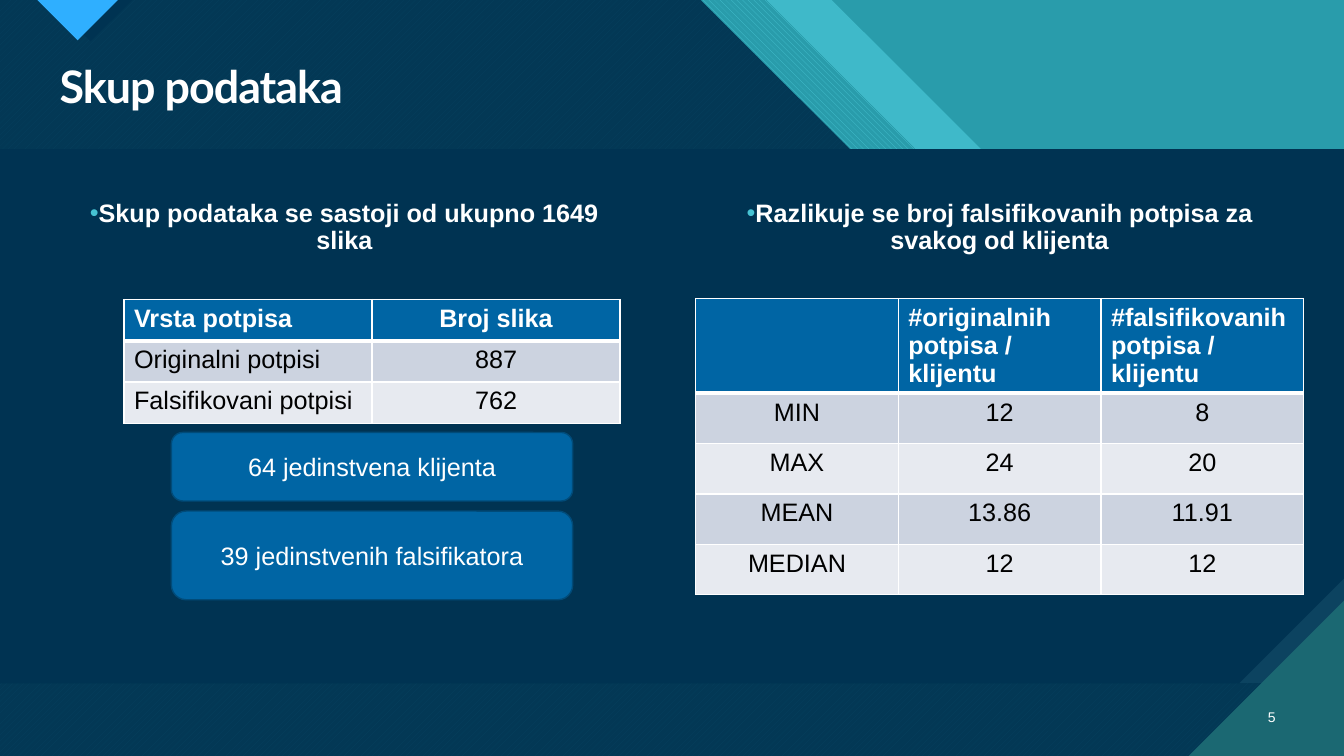
"""Build the "Skup podataka" slide: two claims, two tables and two callouts."""
from lxml.etree import SubElement
from pptx import Presentation
from pptx.dml.color import RGBColor
from pptx.enum.dml import MSO_PATTERN as PATTERN
from pptx.enum.shapes import MSO_SHAPE as SHAPE
from pptx.enum.text import MSO_ANCHOR as ANCHOR, MSO_AUTO_SIZE as AUTO, PP_ALIGN as ALIGN
from pptx.oxml import parse_xml
from pptx.oxml.ns import nsdecls, qn
from pptx.util import Inches, Pt

NAVY, BLUE, TEAL, CYAN, WHITE = "003352", "0065A4", "299CAB", "47C3D3", "FFFFFF"
BAND_TOP, BAND_BOTTOM, RIGHT, BOTTOM = 1.48, 6.78, 13.33, 7.5


def rgb(value):
    return RGBColor.from_string(value)


def style(p, size, color=WHITE, bold=False, align=ALIGN.LEFT, name="Arial"):
    p.font.size, p.font.name, p.font.bold = Pt(size), name, bold
    p.font.color.rgb = rgb(color)
    p.alignment = align


prs = Presentation()
prs.slide_width, prs.slide_height = Inches(RIGHT), Inches(BOTTOM)
s = prs.slides.add_slide(prs.slide_layouts[3])
s.background.fill.solid()
s.background.fill.fore_color.rgb = rgb(TEAL)

backdrop = [
    ([(7.6, 0), (8.25, 0), (9.73, BAND_TOP), (9.08, BAND_TOP)], "3FB9C9", None, None),
    ([(6.95, 0), (7.6, 0), (9.08, BAND_TOP), (8.43, BAND_TOP)],
     CYAN, TEAL, PATTERN.WIDE_DOWNWARD_DIAGONAL),
    ([(0, 0), (6.95, 0), (8.43, BAND_TOP), (RIGHT, BAND_TOP), (RIGHT, BOTTOM), (0, BOTTOM)],
     "07415F", "033855", PATTERN.WIDE_UPWARD_DIAGONAL),
    ([(0.48, 0), (1.31, 0), (0.9, 0.41)], NAVY, None, None),
    ([(0.37, 0), (1.17, 0), (0.77, 0.4)], "2FAFFF", None, None),
    ([(0, BAND_TOP), (RIGHT, BAND_TOP), (RIGHT, BAND_BOTTOM), (0, BAND_BOTTOM)],
     "0C4360", None, None),
    ([(0, BAND_TOP), (RIGHT, BAND_TOP), (RIGHT, 5.74), (12.29, BAND_BOTTOM), (0, BAND_BOTTOM)],
     NAVY, None, None),
    ([(11.79, BOTTOM), (RIGHT, BOTTOM), (RIGHT, 5.96)], "1B6872", None, None),
]
first_placeholder = s.placeholders[0].element
for points, fore, back, pattern in backdrop:
    corners = [(Inches(x), Inches(y)) for x, y in points]
    builder = s.shapes.build_freeform(*corners[0])
    builder.add_line_segments(corners[1:], close=True)
    sp = builder.convert_to_shape()
    if pattern:
        sp.fill.patterned()
        sp.fill.pattern = pattern
        sp.fill.back_color.rgb = rgb(back)
    else:
        sp.fill.solid()
    sp.fill.fore_color.rgb = rgb(fore)
    sp.line.fill.background()
    sp.shadow.inherit = False
    first_placeholder.addprevious(sp.element)

texts = [
    (0, 0.49, 0.59, 12.26, 0.59, "Skup podataka"),
    (1, 0.59, 1.94, 5.65, 0.7, "Skup podataka se sastoji od ukupno 1649 slika"),
    (2, 7.09, 1.94, 5.65, 0.7, "Razlikuje se broj falsifikovanih potpisa za svakog od klijenta"),
]
for idx, x, y, w, h, text in texts:
    sp = s.placeholders[idx]
    sp.left, sp.top, sp.width, sp.height = map(Inches, (x, y, w, h))
    tf = sp.text_frame
    tf.text = text
    tf.word_wrap, tf.auto_size, tf.vertical_anchor = True, AUTO.NONE, ANCHOR.TOP
    p = tf.paragraphs[0]
    p.line_spacing, p.space_before = 0.9, Pt(0)
    if idx == 0:
        style(p, 32, bold=True, name="Lato")
        p.runs[0].font.language_id = None
        p.runs[0].font._element.set("spc", "-70")
    else:
        style(p, 18, bold=True, align=ALIGN.CENTER)
        pPr = p._p.get_or_add_pPr()
        pPr.set("marL", "0")
        pPr.set("indent", "0")
        bullet = [
            f'<a:buClr {nsdecls("a")}><a:srgbClr val="{CYAN}"/></a:buClr>',
            f'<a:buFont {nsdecls("a")} typeface="Arial"/>',
            f'<a:buChar {nsdecls("a")} char="•"/>',
        ]
        at = pPr.index(pPr.find(qn("a:defRPr")))
        for offset, xml in enumerate(bullet):
            pPr.insert(at + offset, parse_xml(xml))

tables = [
    (1.23, 2.97, 2.46, 0.41, 0.41, (ALIGN.LEFT, ALIGN.CENTER), (ALIGN.LEFT, ALIGN.CENTER), [
        ("Vrsta potpisa", "Broj slika"),
        ("Originalni potpisi", "887"),
        ("Falsifikovani potpisi", "762"),
    ]),
    (6.9, 2.96, 2.01, 0.93, 0.5, (ALIGN.LEFT,) * 3, (ALIGN.CENTER,) * 3, [
        ("", "#originalnih potpisa / klijentu", "#falsifikovanih potpisa / klijentu"),
        ("MIN", "12", "8"),
        ("MAX", "24", "20"),
        ("MEAN", "13.86", "11.91"),
        ("MEDIAN", "12", "12"),
    ]),
]
for x, y, col_w, head_h, row_h, head_aligns, body_aligns, rows in tables:
    n_rows, n_cols = len(rows), len(rows[0])
    table = s.shapes.add_table(n_rows, n_cols, Inches(x), Inches(y), Inches(col_w * n_cols),
                               Inches(head_h + row_h * (n_rows - 1))).table
    for column in table.columns:
        column.width = Inches(col_w)
    for i, row in enumerate(rows):
        table.rows[i].height = Inches(row_h if i else head_h)
        for j, text in enumerate(row):
            cell = table.cell(i, j)
            cell.text = text
            style(cell.text_frame.paragraphs[0], 18, "000000" if i else WHITE, i == 0,
                  (body_aligns if i else head_aligns)[j])
            tcPr = cell._tc.get_or_add_tcPr()
            for side in ("lnL", "lnR", "lnT", "lnB"):
                heavy = (i, side) in ((0, "lnB"), (1, "lnT"))
                ln = SubElement(tcPr, qn(f"a:{side}"), w=str(Pt(3 if heavy else 1)))
                SubElement(SubElement(ln, qn("a:solidFill")), qn("a:srgbClr"), val=WHITE)
            cell.fill.solid()
            cell.fill.fore_color.rgb = rgb(BLUE if i == 0 else "CCD3E0" if i % 2 else "E7EAF0")

for y, h, text in [(4.29, 0.68, "64 jedinstvena klijenta"),
                   (5.07, 0.88, "39 jedinstvenih falsifikatora")]:
    sp = s.shapes.add_shape(SHAPE.ROUNDED_RECTANGLE, Inches(1.7), Inches(y), Inches(3.98), Inches(h))
    sp.shadow.inherit = False
    sp.fill.solid()
    sp.fill.fore_color.rgb = rgb(BLUE)
    sp.line.color.rgb, sp.line.width = rgb("004B79"), Pt(1)
    sp.text_frame.text = text
    sp.text_frame.vertical_anchor = ANCHOR.MIDDLE
    style(sp.text_frame.paragraphs[0], 18, align=ALIGN.CENTER)

tf = s.shapes.add_textbox(Inches(12.31), Inches(6.91), Inches(0.44), Inches(0.4)).text_frame
tf.text = "5"
tf.word_wrap, tf.vertical_anchor = True, ANCHOR.MIDDLE
style(tf.paragraphs[0], 10, align=ALIGN.RIGHT)

prs.save("out.pptx")
